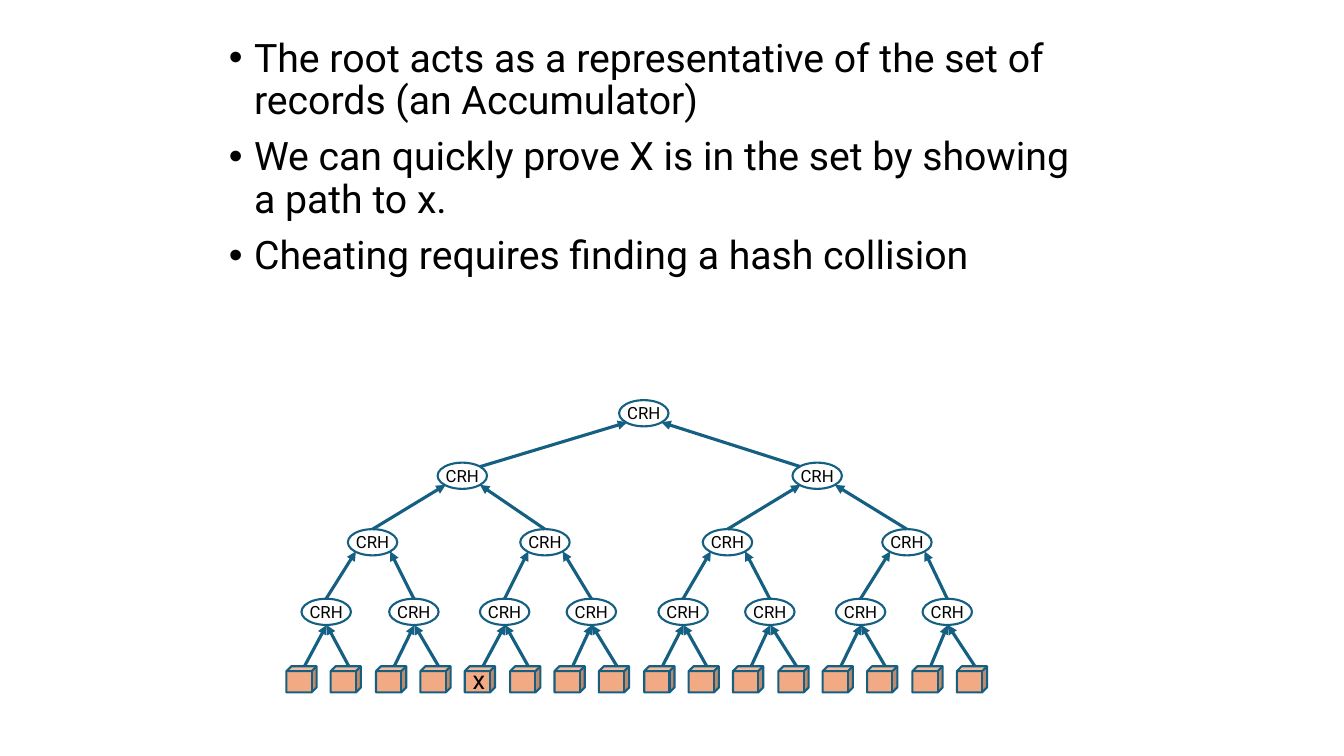
from lxml.etree import SubElement
from pptx import Presentation
from pptx.dml.color import RGBColor
from pptx.enum.dml import MSO_LINE
from pptx.enum.shapes import MSO_CONNECTOR, MSO_SHAPE
from pptx.enum.text import MSO_ANCHOR, MSO_AUTO_SIZE, PP_ALIGN
from pptx.oxml.ns import qn
from pptx.util import Emu, Pt

COLORS = {"text": "000000", "node": "FFFFFF", "record": "F2AA84", "line": "156082"}
FONT = "Roboto"


def px(*lengths):
    return [Emu(length * 9144) for length in lengths]


def write_text(shape, *lines, size, align=PP_ALIGN.LEFT, anchor=MSO_ANCHOR.TOP,
               wrap=False, bullet=None, auto_size=MSO_AUTO_SIZE.NONE):
    frame = shape.text_frame
    frame.auto_size = auto_size
    frame.word_wrap = wrap
    frame.vertical_anchor = anchor
    for index, line in enumerate(lines):
        paragraph = frame.add_paragraph() if index else frame.paragraphs[0]
        paragraph.alignment = align
        run = paragraph.add_run()
        run.text = line
        run.font.name = FONT
        run.font.size = Pt(size)
        run.font.color.rgb = RGBColor.from_string(COLORS["text"])
        if bullet:
            paragraph.line_spacing = 0.9
            paragraph.space_before = Pt(10)
            properties = paragraph._p.get_or_add_pPr()
            indent = px(25)[0]
            properties.set("marL", str(indent))
            properties.set("indent", str(-indent))
            SubElement(properties, qn("a:buFont"), typeface="Arial")
            SubElement(properties, qn("a:buChar"), char=bullet)


presentation = Presentation()
presentation.slide_width, presentation.slide_height = px(1333, 750)
slide = presentation.slides.add_slide(presentation.slide_layouts[1])
title, body = slide.placeholders
title.element.getparent().remove(title.element)

body.left, body.top, body.width, body.height = px(217, 33, 858, 637)
write_text(
    body,
    "The root acts as a representative of the set of records (an Accumulator)",
    "We can quickly prove X is in the set by showing a path to x.",
    "Cheating requires finding a hash collision",
    size=28, wrap=True, bullet="•",
)

NODE_WIDTH, NODE_HEIGHT = 49, 26
RECORD_WIDTH, RECORD_HEIGHT, RECORD_TOP = 30, 26, 661
CORNER_X, CORNER_Y = 17, 4
record_lefts = [round(284 + 44.33 * index) for index in range(16)]
levels = [
    (RECORD_TOP, record_lefts),
    (594, [299, 386, 476, 562, 653, 739, 829, 915]),
    (525, [345, 516, 697, 875]),
    (459, [434, 786]),
    (397, [614]),
]

level_shapes = []
for depth, (top, lefts) in enumerate(levels):
    shapes = []
    for left in lefts:
        if depth == 0:
            shape = slide.shapes.add_shape(
                MSO_SHAPE.CUBE, *px(left, top, RECORD_WIDTH, RECORD_HEIGHT))
            shape.adjustments[0] = 0.19
        else:
            shape = slide.shapes.add_shape(
                MSO_SHAPE.OVAL, *px(left, top, NODE_WIDTH, NODE_HEIGHT))
            write_text(shape, "CRH", size=12, align=PP_ALIGN.CENTER,
                       anchor=MSO_ANCHOR.MIDDLE)
        shape.shadow.inherit = False
        shape.fill.solid()
        shape.fill.fore_color.rgb = RGBColor.from_string(COLORS["node" if depth else "record"])
        shape.line.color.rgb = RGBColor.from_string(COLORS["line"])
        shape.line.width = Pt(1.5)
        shapes.append(shape)
    level_shapes.append(shapes)

for depth, (child_level, parent_level) in enumerate(zip(levels, levels[1:])):
    child_top, child_lefts = child_level
    parent_top, parent_lefts = parent_level
    for index, child_left in enumerate(child_lefts):
        side = 1 if index % 2 else -1
        start_x, start_y = child_left + (25 if depth else 18), child_top
        end_x, end_y = parent_lefts[index // 2] + 25, parent_top + NODE_HEIGHT
        if depth:
            end_x += side * CORNER_X
            end_y -= CORNER_Y
        if depth == 3:
            start_x -= side * CORNER_X
            start_y += CORNER_Y
        connector = slide.shapes.add_connector(
            MSO_CONNECTOR.STRAIGHT, *px(start_x, start_y, end_x, end_y))
        if depth in (1, 2):
            connector.begin_connect(level_shapes[depth][index], 0)
        connector.line.color.rgb = RGBColor.from_string(COLORS["line"])
        connector.line.width = Pt(2.25)
        connector.line.dash_style = MSO_LINE.SOLID
        SubElement(connector.line._get_or_add_ln(), qn("a:tailEnd"), type="triangle")
        SubElement(connector._element.spPr, qn("a:effectLst"))

label = slide.shapes.add_textbox(*px(459, 654, 37, 40))
write_text(label, "x", size=18, auto_size=MSO_AUTO_SIZE.SHAPE_TO_FIT_TEXT)

presentation.save("out.pptx")
